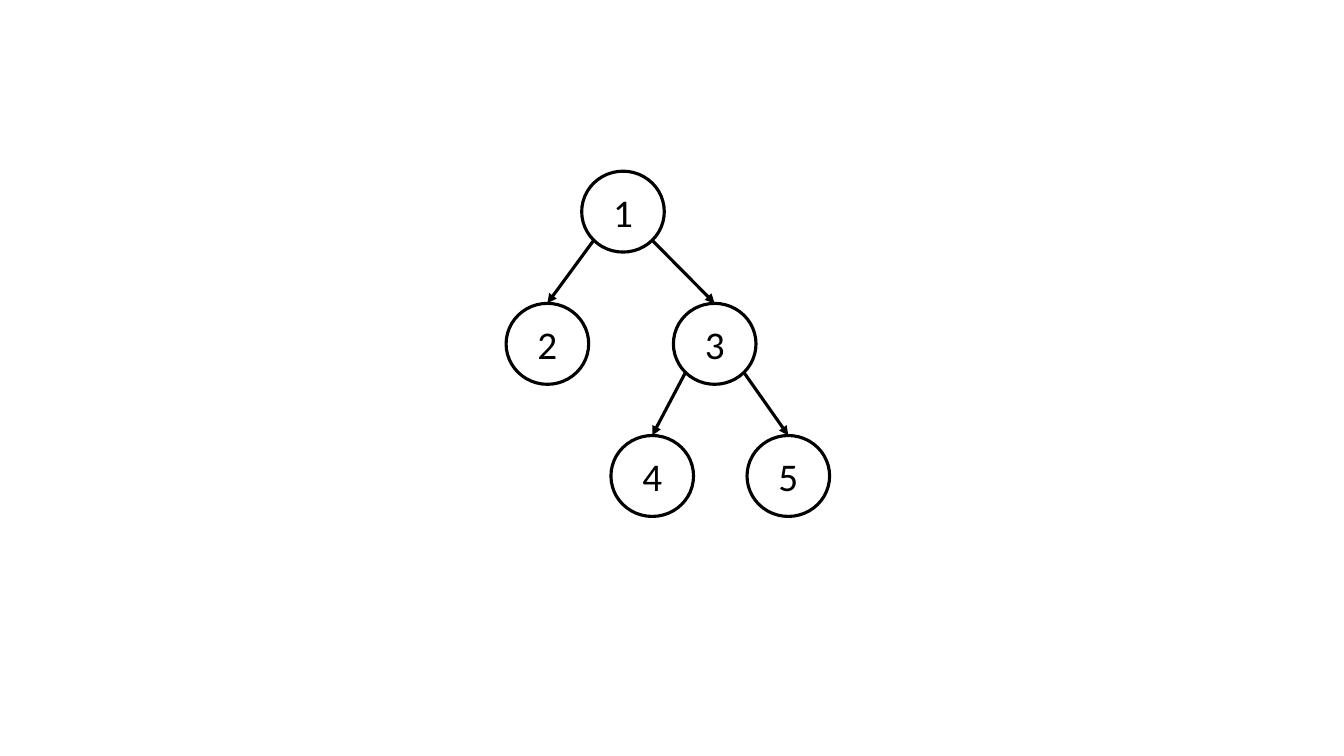
import math

import lxml.etree
import pptx
import pptx.dml.color
import pptx.enum.shapes
import pptx.enum.text
import pptx.oxml.ns
import pptx.util

Pt = pptx.util.Pt
INK = "000000"
NODE_W, NODE_H = 59, 57.8
LEVEL_STEP = 94.4
FONT = {"name": "Calibri", "size": Pt(28)}
NODES = {"1": (54, 0), "2": (0, 1), "3": (119.5, 1), "4": (74.9, 2), "5": (172.1, 2)}
EDGES = [("1", "2"), ("1", "3"), ("3", "4"), ("3", "5")]


def rgb(value):
    """Turn a hex string into a colour."""
    return pptx.dml.color.RGBColor.from_string(value)


def format_line(line):
    """Apply the stroke shared by nodes and arrows."""
    line.color.rgb = rgb(INK)
    line.width = Pt(2.25)


def add_node(s, label, x, y):
    """Draw a labelled tree node with its top left corner at x, y."""
    sp = s.shapes.add_shape(
        pptx.enum.shapes.MSO_SHAPE.OVAL, Pt(x), Pt(y), Pt(NODE_W), Pt(NODE_H))
    sp.shadow.inherit = False
    sp.fill.background()
    format_line(sp.line)
    tf = sp.text_frame
    tf.vertical_anchor = pptx.enum.text.MSO_ANCHOR.MIDDLE
    p = tf.paragraphs[0]
    p.alignment = pptx.enum.text.PP_ALIGN.CENTER
    r = p.add_run()
    r.text = label
    for name, value in FONT.items():
        setattr(r.font, name, value)
    r.font.color.rgb = rgb(INK)
    return sp


def add_arrow(s, parent, child):
    """Draw an arrow from the parent's lower diagonal to the child's top."""
    side = 1 if child.left > parent.left else -1
    reach = math.sqrt(0.5) / 2
    x = parent.left + int(parent.width * (0.5 + side * reach))
    y = parent.top + int(parent.height * (0.5 + reach))
    cx = s.shapes.add_connector(
        pptx.enum.shapes.MSO_CONNECTOR.STRAIGHT, x, y,
        child.left + child.width // 2, child.top)
    cx.end_connect(child, 0)
    format_line(cx.line)
    qn = pptx.oxml.ns.qn
    lxml.etree.SubElement(cx.line._get_or_add_ln(), qn("a:tailEnd"), type="triangle")
    lxml.etree.SubElement(cx._element.spPr, qn("a:effectLst"))


def add_tree(s, left, top):
    """Draw the binary tree with its top left corner at left, top."""
    nodes = {
        label: add_node(s, label, left + x, top + level * LEVEL_STEP)
        for label, (x, level) in NODES.items()
    }
    for parent, child in EDGES:
        add_arrow(s, nodes[parent], nodes[child])


def main():
    """Build and save the slide."""
    prs = pptx.Presentation()
    prs.slide_width, prs.slide_height = Pt(960), Pt(540)
    s = prs.slides.add_slide(prs.slide_layouts[6])
    add_tree(s, 361.5, 122.3)
    prs.save("out.pptx")


if __name__ == "__main__":
    main()
